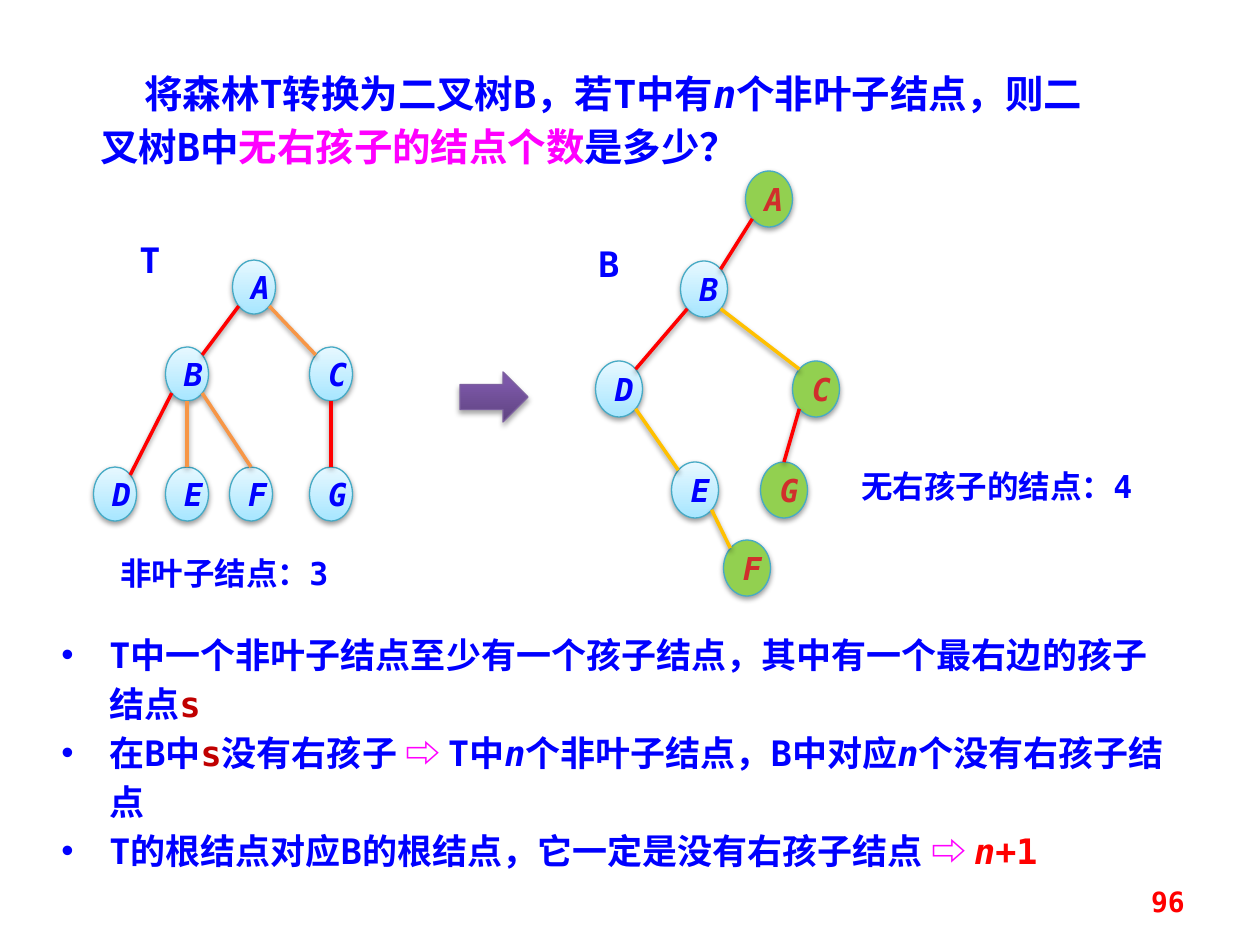
from lxml.etree import SubElement
from pptx import Presentation
from pptx.dml.color import RGBColor
from pptx.enum.shapes import MSO_CONNECTOR as CXN, MSO_SHAPE as SHAPE
from pptx.enum.text import MSO_ANCHOR as ANCHOR, PP_ALIGN as ALIGN
from pptx.oxml.ns import qn
from pptx.util import Pt

PX = 914400 / 126
FONT = "DejaVu Sans Mono"
COLORS = {
    "blue": "0000FF", "magenta": "FF00FF", "red": "FF0000", "dark_red": "C00000",
    "letter_red": "D02F2C", "green": "92D050", "orange": "F79646", "amber": "FFC000",
    "node_low": "A7E6FF", "node_high": "E7F8FF", "node_line": "46AAC5",
    "arrow_low": "5F4480", "arrow_high": "7C57A8", "arrow_line": "7D60A0",
    "black": "000000",
}
# Points on a node's outline, as fractions of its size from the centre
SITES = {"top": (0, -0.5), "bottom": (0, 0.5), "tl": (-0.354, -0.354),
         "tr": (0.354, -0.354), "bl": (-0.354, 0.354), "br": (0.354, 0.354)}


def px(n):
    return round(n * PX)


def rgb(name):
    return RGBColor.from_string(COLORS[name])


def add_shadow(effects, alpha=38, dist=1.6):
    shadow = SubElement(effects, qn("a:outerShdw"), blurRad=str(Pt(3.1)),
                        dist=str(Pt(dist)), dir="5400000", rotWithShape="0")
    color = SubElement(shadow, qn("a:srgbClr"), val=COLORS["black"])
    SubElement(color, qn("a:alpha"), val=str(alpha * 1000))


def add_runs(p, runs, size, bold=True):
    """Each run is (text, colour) or (text, colour, italic)."""
    for text, color, *italic in runs:
        r = p.add_run()
        r.text = text
        r.font.name, r.font.size, r.font.bold = FONT, Pt(size), bold
        r.font.italic = bool(italic and italic[0])
        r.font.color.rgb = rgb(color)


def add_text(slide, box, paragraphs, size, spacing=None, left=0, indent=0, bullet=None):
    sp = slide.shapes.add_textbox(*map(px, box))
    tf = sp.text_frame
    tf.word_wrap = True
    for i, runs in enumerate(paragraphs):
        p = tf.paragraphs[0] if i == 0 else tf.add_paragraph()
        pPr = p._p.get_or_add_pPr()
        pPr.set("marL", str(px(left)))
        pPr.set("indent", str(px(indent)))
        if bullet:
            SubElement(pPr, qn("a:buFont"), typeface="Arial")
            SubElement(pPr, qn("a:buChar"), char=bullet)
        if spacing:
            p.line_spacing = Pt(spacing)
        add_runs(p, runs, size)
    return tf


def add_solid(slide, kind, box, low, high, line, top_stop=1, **shadow):
    """A preset shape shaded from its bottom colour to its top colour."""
    sp = slide.shapes.add_shape(kind, *map(px, box))
    if low == high:
        sp.fill.solid()
        sp.fill.fore_color.rgb = rgb(low)
    else:
        sp.fill.gradient()
        sp.fill.gradient_angle = 90
        for stop, color in zip(sp.fill.gradient_stops, (low, high)):
            stop.color.rgb = rgb(color)
        sp.fill.gradient_stops[1].position = top_stop
    sp.line.color.rgb = rgb(line)
    sp.line.width = Pt(0.75)
    sp.shadow.inherit = False
    add_shadow(sp._element.spPr.find(qn("a:effectLst")), **shadow)
    return sp


def add_edge(slide, start, end, color):
    line = slide.shapes.add_connector(CXN.STRAIGHT, *map(px, (*start, *end)))
    line.line.color.rgb = rgb(color)
    line.line.width = Pt(2)
    add_shadow(SubElement(line._element.spPr, qn("a:effectLst")))


def add_tree(slide, origin, size, nodes, edges, marked, sibling, label, caption):
    """Nodes by centre; an edge is parent, site, child, site and whether it is a first child."""
    x, y = origin
    w, h = size
    centers = {name: (x + dx, y + dy) for name, (dx, dy) in nodes.items()}
    for name, (cx, cy) in centers.items():
        low, high, ink = (("green", "green", "letter_red") if name in marked
                          else ("node_low", "node_high", "blue"))
        sp = add_solid(slide, SHAPE.OVAL, (cx - w / 2, cy - h / 2, w, h), low, high, "node_line")
        tf = sp.text_frame
        tf.vertical_anchor = ANCHOR.MIDDLE
        p = tf.paragraphs[0]
        p.alignment = ALIGN.CENTER
        add_runs(p, [(name, ink, True)], 18)

    def point(name, site):
        (cx, cy), (fx, fy) = centers[name], SITES[site]
        return cx + fx * w, cy + fy * h

    for parent, out, child, into, first in edges:
        add_edge(slide, point(parent, out), point(child, into), "red" if first else sibling)

    for (text, dx, dy, width), pt in ((label, 20), (caption, 18)):
        add_text(slide, (x + dx, y + dy, width, 66), [[(text, "blue")]], pt, spacing=30)


def add_question(slide, box):
    add_text(slide, box, [[
        ("将森林T转换为二叉树B，若T中有", "blue"), ("n", "blue", True),
        ("个非叶子结点，则二叉树B中", "blue"), ("无右孩子的结点个数", "magenta"),
        ("是多少？", "blue")]], 22, spacing=30, indent=44)


def add_reasoning(slide, box):
    add_text(slide, box, [
        [("T中一个非叶子结点至少有一个孩子结点，其中有一个最右边的孩子结点", "blue"),
         ("s", "dark_red")],
        [("在B中", "blue"), ("s", "dark_red"), ("没有右孩子 ", "blue"), ("⇨ ", "magenta"),
         ("T中", "blue"), ("n", "blue", True), ("个非叶子结点，B中对应", "blue"),
         ("n", "blue", True), ("个没有右孩子结点", "blue")],
        [("T的根结点对应B的根结点，它一定是没有右孩子结点 ", "blue"), ("⇨ ", "magenta"),
         ("n", "red", True), ("+1", "red")],
    ], 20, spacing=28, left=48, indent=-48, bullet="•")


def add_page_number(slide, box):
    tf = add_text(slide, box, [[("96", "red")]], 16)
    tf.vertical_anchor = ANCHOR.MIDDLE
    tf.paragraphs[0].alignment = ALIGN.RIGHT


def main():
    prs = Presentation()
    prs.slide_width, prs.slide_height = px(1260), px(945)
    slide = prs.slides.add_slide(prs.slide_layouts[6])

    add_question(slide, (88, 58, 1033, 118))
    add_solid(slide, SHAPE.RIGHT_ARROW, (460, 372, 68, 50), "arrow_low", "arrow_high",
              "arrow_line", top_stop=0.8, alpha=35, dist=1.8)

    # Forest T
    add_tree(slide, (93, 222), (43, 54),
             {"A": (161, 65), "B": (94, 152), "C": (238, 152), "D": (22, 272),
              "E": (94, 272), "F": (158, 272), "G": (238, 272)},
             [("A", "bl", "B", "tr", True), ("A", "br", "C", "tl", False),
              ("B", "bl", "D", "tr", True), ("B", "bottom", "E", "top", False),
              ("B", "br", "F", "top", False), ("C", "bottom", "G", "top", True)],
             "", "orange", ("T", 34, 0, 68), ("非叶子结点：3", 15, 311, 283))

    # Binary tree B
    add_tree(slide, (586, 171), (47, 56),
             {"A": (183, 28), "B": (118, 118), "C": (230, 218), "D": (33, 218),
              "E": (109, 319), "F": (161, 397), "G": (198, 319)},
             [("A", "bl", "B", "tr", True), ("B", "bl", "D", "tr", True),
              ("B", "br", "C", "tl", False), ("D", "br", "E", "tl", False),
              ("E", "br", "F", "tl", False), ("C", "bl", "G", "top", True)],
             "ACFG", "amber", ("B", 0, 55, 68), ("无右孩子的结点：4", 263, 275, 341))

    add_reasoning(slide, (49, 620, 1142, 260))
    add_page_number(slide, (903, 876, 294, 50))
    prs.save("out.pptx")


if __name__ == "__main__":
    main()
